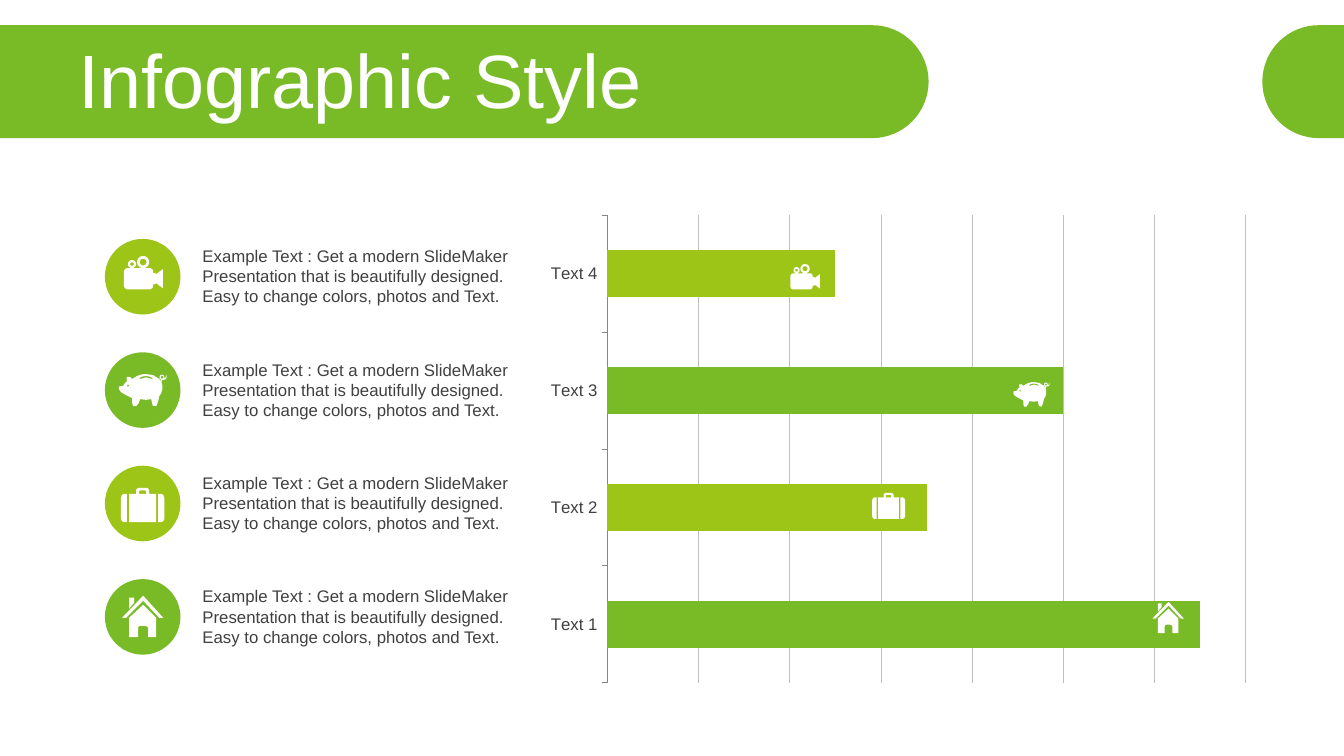
import math

import pptx
import pptx.chart.data
import pptx.dml.color
import pptx.enum.chart
import pptx.enum.shapes
import pptx.enum.text
import pptx.util

RGBColor = pptx.dml.color.RGBColor
Inches = pptx.util.Inches
Pt = pptx.util.Pt

GREEN = RGBColor(0x79, 0xBA, 0x27)
LIME = RGBColor(0x9D, 0xC5, 0x18)
WHITE = RGBColor(0xFF, 0xFF, 0xFF)
TEXT_GREY = RGBColor(0x40, 0x40, 0x40)
GRID_GREY = RGBColor(0xBF, 0xBF, 0xBF)
AXIS_GREY = RGBColor(0x86, 0x86, 0x86)
FONT = "Arial"

PAGE_WIDTH, PAGE_HEIGHT = 13.33, 7.5
BAND_TOP, BAND_HEIGHT = 0.25, 1.12
FIRST_ROW, ROW_PITCH = 2.37, 1.125
DISC_LEFT, DISC_SIZE = 1.04, 0.75
NOTE_LEFT, NOTE_WIDTH, NOTE_HEIGHT = 1.91, 3.5, 0.71
ICON_UNIT = 0.01
BAR_ICON_UNIT = 0.76 * ICON_UNIT

NOTE = ("Example Text : Get a modern SlideMaker Presentation that is "
        "beautifully designed. Easy to change colors, photos and Text.")


def arc(centre_x, centre_y, radius, start=0, end=360, steps=32):
    """Return points along an arc, with angles in degrees clockwise from the right."""
    angles = [math.radians(start + (end - start) * step / steps) for step in range(steps + 1)]
    return [(centre_x + radius * math.cos(angle), centre_y + radius * math.sin(angle))
            for angle in angles]


# Each icon is a list of contours; an inner contour cuts a hole.
CAMERA = [
    [(0, 15), (1, 13), (3, 12), (26, 12), (28, 13), (29, 15), (29, 17), (31, 17), (32, 18),
     (38.5, 13), (38.5, 32), (32, 27), (31, 28), (29, 28), (29, 30), (28, 32), (26, 33),
     (3, 33), (1, 32), (0, 30)],
    arc(19, 6, 6), arc(19, 6, 3.3), arc(8, 8, 4), arc(8, 8, 1.8),
]
PIG = [
    [(26, 0), (34, 1.2), (40, 5), (41, 7), (42, 6), (40.3, 4.5), (40.3, 2), (41.5, 1),
     (43, 0.7), (44.5, 1.5), (45, 3), (45, 4.5), (46, 4), (47, 1), (47.3, 3.5), (46, 5.5),
     (43, 6), (42, 8), (43, 11), (43, 15), (42, 19), (40, 22), (39, 27), (37, 32),
     (33.5, 31.5), (32, 25), (27, 25.7), (21, 25), (19.5, 29), (17, 32), (14, 32),
     (13.2, 29), (13, 24), (7, 21), (2, 18), (0, 15), (0, 13), (1, 12), (4, 12), (6, 9),
     (8, 7), (7.5, 4), (8, 3), (11, 3), (13, 5), (18, 2), (22, 0.6)],
    arc(9, 11.5, 1), arc(42.7, 3.3, 1.3),
    [(20, 4), (23, 2.6), (27, 2), (31, 2.8), (33.5, 4), (33, 5), (27, 3.4), (21, 5)],
]
SUITCASE = [
    [(37, 6), (40, 6), (42, 7), (43, 10), (43, 31), (42, 33), (40, 34), (37, 34)],
    [(6, 6), (3, 6), (1, 7), (0, 10), (0, 31), (1, 33), (3, 34), (6, 34)],
    [(8, 6), (15, 6), (15, 2), (17, 0), (26, 0), (28, 2), (28, 6), (35, 6), (35, 34), (8, 34)],
    [(18, 6), (18, 3.5), (19, 2.5), (24, 2.5), (25, 3.5), (25, 6)],
]
HOUSE = [
    [(21, 9), (34, 22), (34, 41), (26, 41), (26, 32), (25, 30.5), (23, 30), (18, 30),
     (16.5, 30.5), (16, 32), (16, 41), (7, 41), (7, 22)],
    [(7, 2), (12, 2), (12, 7), (7, 13)],
    [(21, 0), (41, 22), (37, 22), (21, 5), (4, 22), (0, 22)],
]

# Rows from top to bottom: category, value, colour, icon, icon place in the disc and on the bar.
ROWS = [
    ("Text 4", 2.5, LIME, CAMERA, (1.23, 2.54), (7.84, 2.62)),
    ("Text 3", 5, GREEN, PIG, (1.18, 3.71), (10.05, 3.79)),
    ("Text 2", 3.5, LIME, SUITCASE, (1.2, 4.84), (8.65, 4.89)),
    ("Text 1", 6.5, GREEN, HOUSE, (1.21, 5.91), (11.43, 5.97)),
]


def paint(shape, colour):
    shape.fill.solid()
    shape.fill.fore_color.rgb = colour
    shape.line.fill.background()
    shape.shadow.inherit = False


def add_outline(page, contours, colour, left=0, top=0, unit=1):
    """Draw closed contours, given in units of so many inches, as one shape."""
    placed = [[(Inches(left + x * unit), Inches(top + y * unit)) for x, y in contour]
              for contour in contours]
    builder = page.shapes.build_freeform(*placed[0][0])
    for number, contour in enumerate(placed):
        if number:
            builder.move_to(*contour[0])
        builder.add_line_segments(contour[1:], close=True)
    paint(builder.convert_to_shape(), colour)


def add_text(page, text, left, top, width, height, size, colour):
    box = page.shapes.add_textbox(Inches(left), Inches(top), Inches(width), Inches(height))
    box.text_frame.word_wrap = True
    para = box.text_frame.paragraphs[0]
    para.text = text
    para.font.name = FONT
    para.font.size = Pt(size)
    para.font.color.rgb = colour
    return box.text_frame


def add_header(page):
    radius = BAND_HEIGHT / 2
    middle, bottom = BAND_TOP + radius, BAND_TOP + BAND_HEIGHT
    add_outline(page, [[(0, bottom), (0, BAND_TOP)] + arc(8.65, middle, radius, -90, 90)], GREEN)
    add_outline(page, [[(PAGE_WIDTH, BAND_TOP), (PAGE_WIDTH, bottom)]
                       + arc(13.08, middle, radius, 90, 270)], GREEN)
    frame = add_text(page, "Infographic Style", 0.68, 0.44, 12.33, 0.79, 54, WHITE)
    frame.vertical_anchor = pptx.enum.text.MSO_ANCHOR.MIDDLE
    frame.paragraphs[0].line_spacing = 0.9


def add_bar_chart(page):
    bars = ROWS[::-1]
    data = pptx.chart.data.CategoryChartData()
    data.categories = [bar[0] for bar in bars]
    data.add_series("Series 1", [bar[1] for bar in bars])
    chart = page.shapes.add_chart(
        pptx.enum.chart.XL_CHART_TYPE.BAR_STACKED,
        Inches(5.32), Inches(2.04), Inches(7.18), Inches(4.83), data).chart
    chart.has_legend = False
    chart.has_title = False
    chart.font.name = FONT
    chart.font.size = Pt(12)
    chart.font.color.rgb = TEXT_GREY

    plot = chart.plots[0]
    plot.gap_width = 150
    plot.overlap = 100
    plot.vary_by_categories = False
    for number, bar in enumerate(bars):
        fill = plot.series[0].points[number].format.fill
        fill.solid()
        fill.fore_color.rgb = bar[2]

    chart.category_axis.format.line.color.rgb = AXIS_GREY
    chart.category_axis.major_tick_mark = pptx.enum.chart.XL_TICK_MARK.OUTSIDE
    values = chart.value_axis
    values.minimum_scale, values.maximum_scale, values.major_unit = 0, 7, 1
    values.has_major_gridlines = True
    values.major_gridlines.format.line.color.rgb = GRID_GREY
    values.major_gridlines.format.line.width = Pt(0.75)
    values.visible = False


def add_row(page, top, colour, icon, disc_place, bar_place):
    disc = page.shapes.add_shape(pptx.enum.shapes.MSO_SHAPE.OVAL, Inches(DISC_LEFT),
                                 Inches(top), Inches(DISC_SIZE), Inches(DISC_SIZE))
    paint(disc, colour)
    add_text(page, NOTE, NOTE_LEFT, top + (DISC_SIZE - NOTE_HEIGHT) / 2,
             NOTE_WIDTH, NOTE_HEIGHT, 12, TEXT_GREY)
    add_outline(page, icon, WHITE, *disc_place, ICON_UNIT)
    add_outline(page, icon, WHITE, *bar_place, BAR_ICON_UNIT)


def main():
    deck = pptx.Presentation()
    deck.slide_width = Inches(PAGE_WIDTH)
    deck.slide_height = Inches(PAGE_HEIGHT)
    page = deck.slides.add_slide(deck.slide_layouts[6])
    add_header(page)
    add_bar_chart(page)
    for number, (_, _, colour, icon, disc_place, bar_place) in enumerate(ROWS):
        add_row(page, FIRST_ROW + number * ROW_PITCH, colour, icon, disc_place, bar_place)
    deck.save("out.pptx")


if __name__ == "__main__":
    main()
